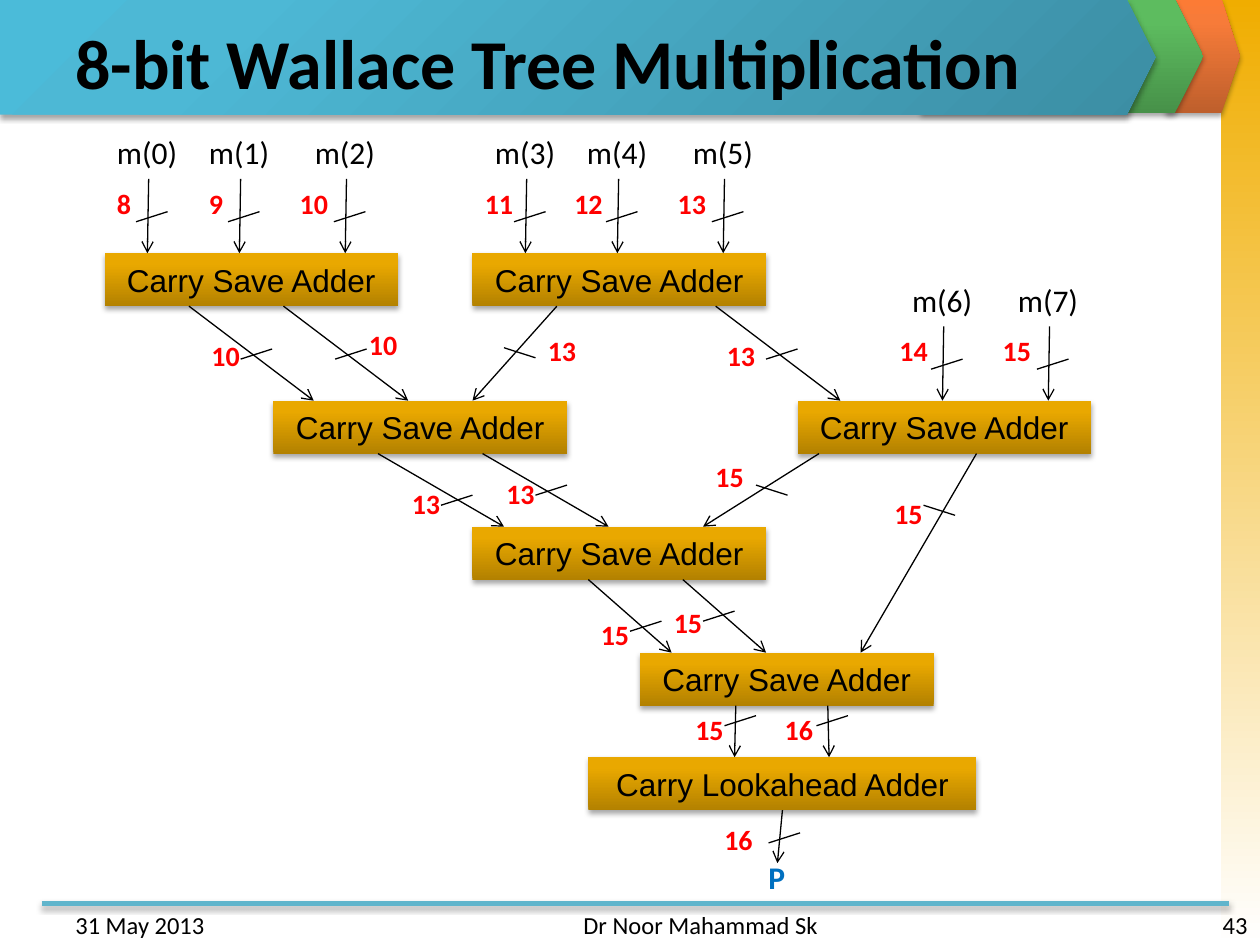
from lxml.etree import SubElement
from pptx import Presentation
from pptx.dml.color import RGBColor
from pptx.enum.shapes import MSO_CONNECTOR, MSO_SHAPE
from pptx.enum.text import MSO_ANCHOR, PP_ALIGN
from pptx.oxml.ns import qn
from pptx.util import Inches, Pt

BLACK = RGBColor(0x00, 0x00, 0x00)
RED = RGBColor(0xFF, 0x00, 0x00)
BLUE = RGBColor(0x00, 0x70, 0xC0)
RULE_BLUE = RGBColor(0x60, 0xB5, 0xCC)


def stops(*colours):
    """Pair a dark, a main and a light colour with their gradient positions."""
    return list(zip((0, 80, 100), colours))


GOLD = stops(RGBColor(0xB3, 0x81, 0x00), RGBColor(0xE9, 0xA8, 0x00), RGBColor(0xEA, 0xA8, 0x00))
ORANGE = stops(RGBColor(0xBE, 0x5F, 0x2C), RGBColor(0xF7, 0x7B, 0x39), RGBColor(0xFC, 0x7B, 0x35))
GREEN = stops(RGBColor(0x47, 0x91, 0x49), RGBColor(0x5D, 0xBC, 0x5F), RGBColor(0x5B, 0xBF, 0x5E))
TEAL = stops(RGBColor(0x3C, 0x8E, 0xA4), RGBColor(0x4D, 0xB8, 0xD5), RGBColor(0x4B, 0xBB, 0xD9))
SIDEBAR = [(0, RGBColor(0xF0, 0xAD, 0x00)), (100, RGBColor(0xFF, 0xFF, 0xFF))]

BOX_WIDTH, BOX_HEIGHT = 2.33, 0.42

# Left and top of each carry save adder
SAVE_ADDERS = [(0.83, 2.01), (3.75, 2.01), (6.33, 3.18), (2.17, 3.18), (3.75, 4.18), (5.08, 5.18)]

# Index, left, top, bit width, left and width of the bit label
OPERANDS = [
    (0, 0.83, 1.01, 8, 0.83, 0.32), (1, 1.56, 1.01, 9, 1.56, 0.32),
    (2, 2.40, 1.01, 10, 2.28, 0.57), (3, 3.83, 1.01, 11, 3.75, 0.43),
    (4, 4.56, 1.01, 12, 4.46, 0.43), (5, 5.40, 1.01, 13, 5.28, 0.57),
    (6, 7.14, 2.18, 14, 7.04, 0.43), (7, 7.98, 2.18, 15, 7.86, 0.57),
]

# Start, end, left end of the slash, slash falls, bit width, label corner, label width
LINKS = [
    ((1.50, 2.43), (2.49, 3.18), (1.91, 2.85), False, 10, (1.58, 2.64), 0.5),
    ((2.25, 2.43), (3.24, 3.18), (2.66, 2.85), False, 10, (2.83, 2.55), 0.5),
    ((4.42, 2.43), (3.75, 3.18), (4.00, 2.76), True, 13, (4.25, 2.60), 0.5),
    ((5.68, 2.43), (6.67, 3.18), (6.08, 2.85), False, 13, (5.67, 2.64), 0.5),
    ((3.00, 3.60), (4.00, 4.18), (3.50, 4.01), False, 13, (3.17, 3.81), 0.5),
    ((3.83, 3.60), (4.83, 4.18), (4.25, 3.93), False, 13, (3.92, 3.73), 0.5),
    ((6.50, 3.60), (5.58, 4.18), (6.00, 3.85), True, 15, (5.58, 3.60), 0.5),
    ((7.75, 3.60), (6.83, 5.18), (7.33, 4.01), True, 15, (7.00, 3.89), 0.5),
    ((4.67, 4.60), (5.33, 5.18), (5.00, 5.01), False, 15, (4.67, 4.85), 0.5),
    ((5.42, 4.60), (6.08, 5.18), (5.58, 4.93), False, 15, (5.25, 4.76), 0.5),
    ((5.84, 5.60), (5.83, 6.01), (5.75, 5.76), False, 15, (5.42, 5.61), 0.43),
    ((6.57, 5.60), (6.58, 6.01), (6.48, 5.76), False, 16, (6.13, 5.61), 0.43),
    ((6.19, 6.42), (6.17, 6.85), (6.10, 6.69), False, 16, (5.65, 6.48), 0.43),
]


def add_colour(parent, colour):
    return SubElement(parent, qn("a:srgbClr"), val=str(colour))


def add_shadow(effects):
    shadow = SubElement(effects, qn("a:outerShdw"), blurRad=str(Pt(3.1)), dist=str(Pt(1.8)),
                        dir="5400000", rotWithShape="0")
    SubElement(add_colour(shadow, BLACK), qn("a:alpha"), val="35000")


def write_text(frame, text, size=18, font="Calibri", colour=BLACK, bold=False,
               align=PP_ALIGN.LEFT, anchor=MSO_ANCHOR.TOP, wrap=True):
    frame.word_wrap = wrap
    frame.vertical_anchor = anchor
    paragraph = frame.paragraphs[0]
    paragraph.alignment = align
    run = paragraph.add_run()
    run.text = text
    run.font.name = font
    run.font.size = Pt(size)
    run.font.bold = bold
    run.font.color.rgb = colour


def add_text(slide, text, left, top, width, height, **text_format):
    box = slide.shapes.add_textbox(Inches(left), Inches(top), Inches(width), Inches(height))
    write_text(box.text_frame, text, **text_format)


def add_gradient_shape(slide, kind, left, top, width, height, gradient,
                       angle=270, radial=False, shadow=True):
    shape = slide.shapes.add_shape(kind, Inches(left), Inches(top), Inches(width), Inches(height))
    properties = shape._element.spPr
    fill = SubElement(properties, qn("a:gradFill"), rotWithShape="1")
    stop_list = SubElement(fill, qn("a:gsLst"))
    for position, colour in gradient:
        add_colour(SubElement(stop_list, qn("a:gs"), pos=str(position * 1000)), colour)
    if radial:
        circle = SubElement(fill, qn("a:path"), path="circle")
        SubElement(circle, qn("a:fillToRect"), l="100000", t="100000")
    else:
        SubElement(fill, qn("a:lin"), ang=str(angle * 60000), scaled="0")
    shape.line.fill.background()
    shape.shadow.inherit = False
    if shadow:
        add_shadow(properties.find(qn("a:effectLst")))
    return shape


def add_banner(slide, left, top, width, height, gradient, radial=False):
    banner = add_gradient_shape(slide, MSO_SHAPE.PENTAGON, left, top, width, height,
                                gradient, radial=radial)
    banner.adjustments[0] = 0.25


def add_line(slide, start, end, colour=BLACK, weight=0.75, arrow=False, shadow=False):
    line = slide.shapes.add_connector(MSO_CONNECTOR.STRAIGHT, *map(Inches, start + end))
    line.line.color.rgb = colour
    line.line.width = Pt(weight)
    if arrow:
        SubElement(line.line._get_or_add_ln(), qn("a:tailEnd"), type="arrow")
    effects = SubElement(line._element.spPr, qn("a:effectLst"))
    if shadow:
        add_shadow(effects)
    return line


def add_adder(slide, text, left, top, width=BOX_WIDTH):
    adder = add_gradient_shape(slide, MSO_SHAPE.RECTANGLE, left, top, width, BOX_HEIGHT, GOLD)
    write_text(adder.text_frame, text, font="Arial", align=PP_ALIGN.CENTER,
               anchor=MSO_ANCHOR.MIDDLE)
    return adder


def add_bus(slide, start, end, slash, falling, bits, label, label_width):
    """Arrow with a slash across it and its width in bits beside it."""
    arrow = add_line(slide, start, end, arrow=True)
    x, y = slash
    add_line(slide, slash, (x + 0.25, y + (0.08 if falling else -0.08)))
    add_text(slide, str(bits), *label, label_width, 0.37, size=16, colour=RED, bold=True)
    return arrow


def add_operand(slide, index, left, top, bits, label_left, label_width):
    add_text(slide, f"m({index})", left, top, 0.69, 0.4, wrap=False)
    add_bus(slide, (left + 0.35, top + 0.41), (left + 0.34, top + 1), (left + 0.25, top + 0.75),
            False, bits, (label_left, top + 0.42), label_width)


def add_frame(slide):
    # Side bar, header banners and footer rule
    add_gradient_shape(slide, MSO_SHAPE.RECTANGLE, 9.69, 0, 0.31, 7.5, SIDEBAR,
                       angle=90, shadow=False)
    add_banner(slide, 9.25, -0.01, 0.59, 0.91, ORANGE)
    add_banner(slide, 7.31, -0.01, 2.24, 0.91, GREEN)
    add_line(slide, (0.33, 7.17), (9.75, 7.17), colour=RULE_BLUE, weight=3, shadow=True)
    add_banner(slide, 0, 0, 9.17, 0.91, TEAL, radial=True)

    # Title and footer
    add_text(slide, "8-bit Wallace Tree Multiplication", 0.5, 0.14, 9, 0.69,
             size=40, bold=True, anchor=MSO_ANCHOR.MIDDLE)
    add_text(slide, "31 May 2013", 0.5, 7.17, 2.33, 0.25, size=14)
    add_text(slide, "Dr Noor Mahammad Sk", 3.42, 7.17, 3.17, 0.25, size=14, align=PP_ALIGN.RIGHT)
    add_text(slide, "43", 7.67, 7.17, 2.33, 0.25, size=14, align=PP_ALIGN.RIGHT)


def main():
    presentation = Presentation()
    presentation.slide_width = Inches(10)
    presentation.slide_height = Inches(7.5)
    slide = presentation.slides.add_slide(presentation.slide_layouts[6])
    add_frame(slide)

    # Adders
    for left, top in SAVE_ADDERS:
        add_adder(slide, "Carry Save Adder", left, top)
    final_adder = add_adder(slide, "Carry Lookahead Adder", 4.67, 6.01, width=3.08)

    # Operands, links between adders and the product
    for operand in OPERANDS:
        add_operand(slide, *operand)
    arrows = [add_bus(slide, *link) for link in LINKS]
    arrows[-1].begin_connect(final_adder, 2)
    add_text(slide, "P", 6, 6.76, 0.35, 0.4, colour=BLUE, bold=True, wrap=False)

    presentation.save("out.pptx")


if __name__ == "__main__":
    main()
